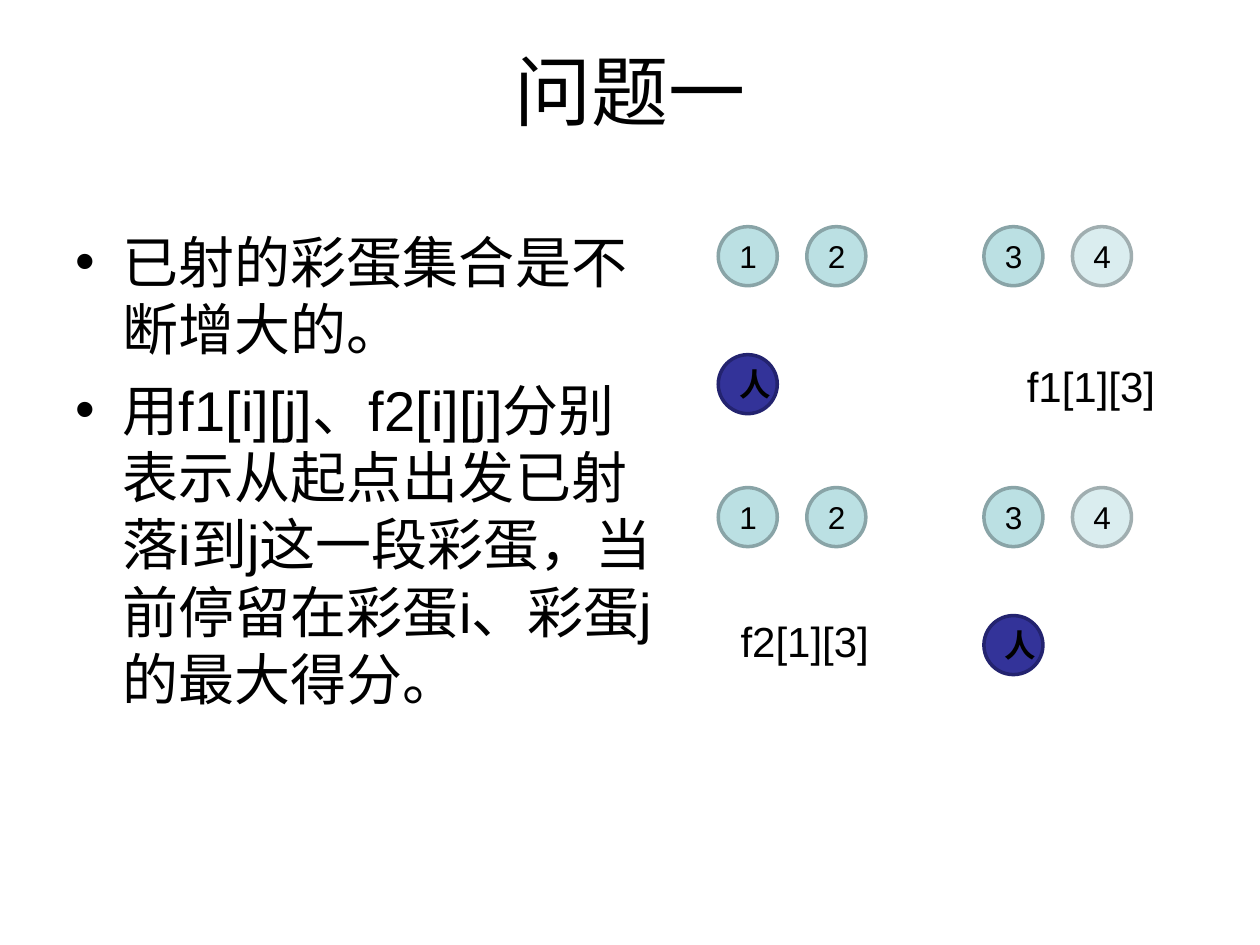
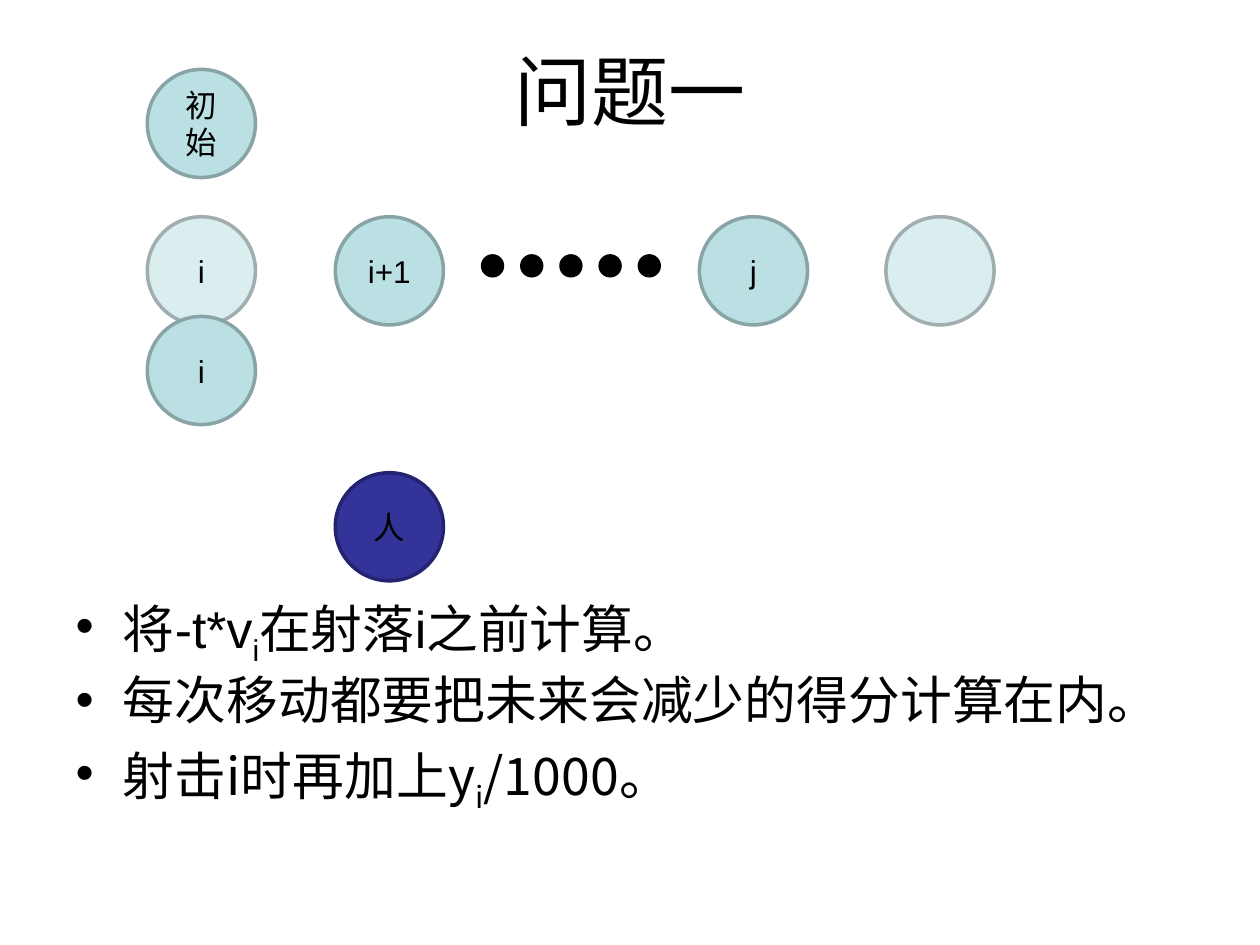
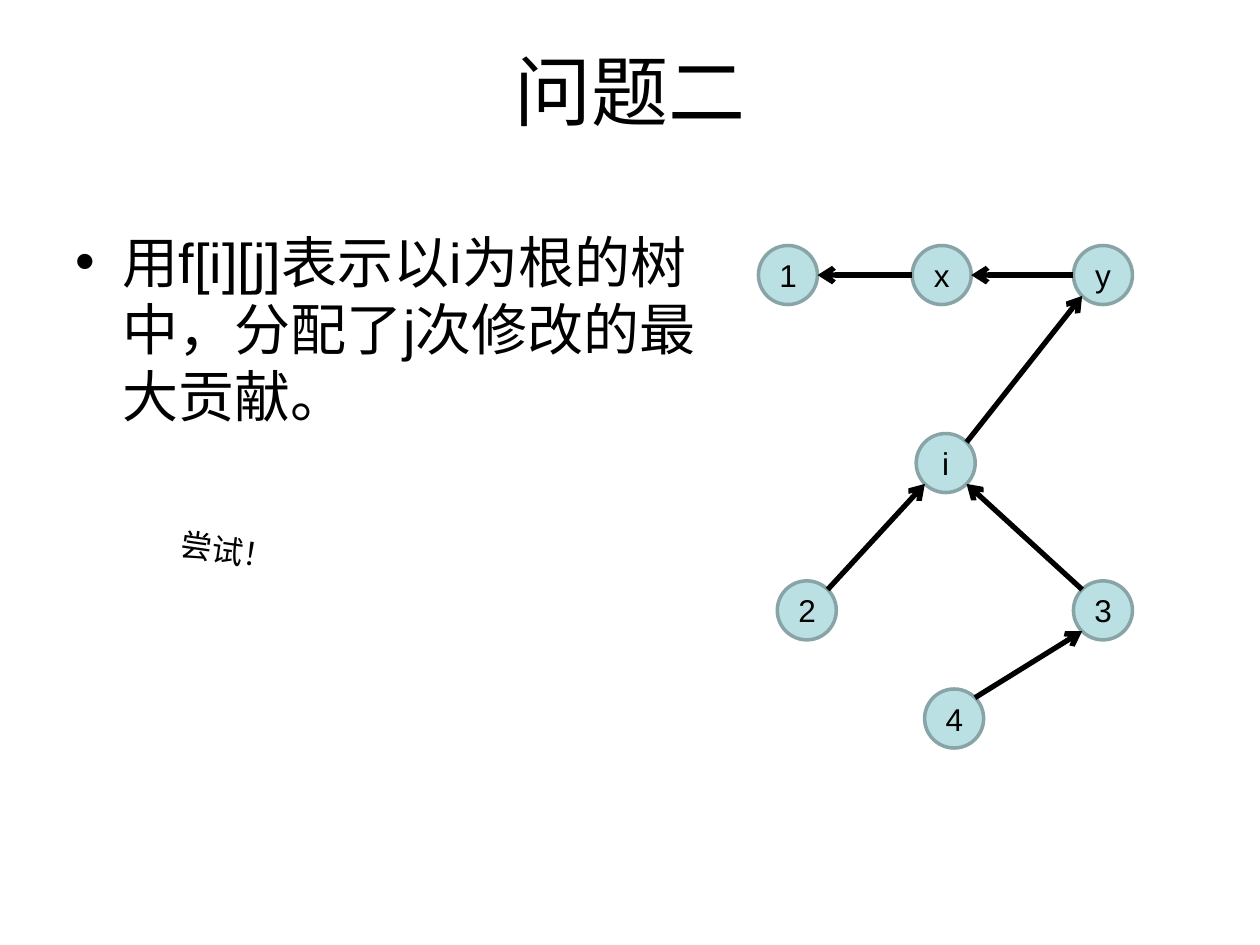
"""Builds three slides on two dynamic programming problems."""
from dataclasses import dataclass
from math import atan2, cos, pi, sin

from lxml.etree import SubElement
from pptx import Presentation
from pptx.dml.color import RGBColor
from pptx.enum.shapes import MSO_CONNECTOR, MSO_SHAPE
from pptx.enum.text import MSO_ANCHOR, MSO_AUTO_SIZE, PP_ALIGN
from pptx.oxml.ns import qn
from pptx.util import Cm, Pt


@dataclass(frozen=True)
class Theme:
    latin: str = "Arial"
    han: str = "Noto Sans CJK SC"
    ink: str = "000000"
    egg: tuple = ("BBE0E3", "89A4A7")
    faded: tuple = ("DAEDEF", "A0AEB0")
    man: tuple = ("333399", "23236F")
    dot: tuple = ("000000", "000000")
    title_size: float = 44
    body_size: float = 32
    dense_size: float = 29.6
    label_size: float = 24
    small_size: float = 18
    outline: float = 2
    arrow: float = 3


THEME = Theme()
LATIN = {"latin": THEME.latin}
SUB = {"baseline": -25000}

TITLE_BOX = (1.27, 0.76, 22.86, 3.18)

STATE_BOX = (1.27, 4.45, 12.22, 12.57)
STATE_POINTS = [
    ["已射的彩蛋集合是不断增大的。"],
    ["用", ("f1[i][j]、f2[i][j]", LATIN), "分别表示从起点出发已射落", ("i", LATIN),
     "到", ("j", LATIN), "这一段彩蛋，当前停留在彩蛋", ("i", LATIN),
     "、彩蛋", ("j", LATIN), "的最大得分。"],
]
EGG_SIZE = 1.19
EGG_LEFT, EGG_PITCH = 14.48, 1.785
EGG_COLUMNS = [("1", 0, THEME.egg), ("2", 1, THEME.egg),
               ("3", 3, THEME.egg), ("4", 4, THEME.faded)]
MAN_DROP = 2.58
STATES = [
    (4.57, 0, "f1[1][3]", (20.45, 7.14, 3.18, 1.27)),
    (9.83, 3, "f2[1][3]", (14.68, 12.29, 3.18, 1.27)),
]

SCORE_BOX = (1.27, 11.91, 24.13, 5.11)
SCORE_POINTS = [
    ["将", ("-t*v", LATIN), ("i", LATIN | SUB), "在射落", ("i", LATIN), "之前计算。"],
    ["每次移动都要把未来会减少的得分计算在内。"],
    ["射击i时再加上y", ("i", SUB), "/1000。"],
]
MOVE_SIZE = 2.18
MOVES = [
    ("人", 6.76, 9.53, THEME.man),
    ("i+1", 6.76, 4.37, THEME.egg),
    ("i", 2.97, 4.37, THEME.faded),
    ("j", 14.1, 4.37, THEME.egg),
    ("", 17.86, 4.37, THEME.faded),
    ("i", 2.97, 6.38, THEME.egg),
    ("初始", 2.97, 1.4, THEME.egg),
]
DOT_COUNT, DOT_LEFT, DOT_TOP, DOT_PITCH, DOT_SIZE = 5, 9.73, 5.16, 0.79, 0.4

TREE_BOX = (1.27, 4.45, 13.21, 12.57)
TREE_POINTS = [
    ["用", ("f[i][j]表示以i为根的树中，分配了j次修改的最大贡献。", LATIN)],
]
NODES = {
    "1": (15.29, 4.95), "x": (18.39, 4.95), "y": (21.64, 4.95),
    "i": (18.47, 8.74), "4": (18.64, 13.89), "2": (15.67, 11.71),
    "3": (21.64, 11.71),
}
EDGES = ["x1", "yx", "iy", "2i", "3i", "43"]
TRY_BOX = (3.1, 11.33, 13.11, 4.37)
TRY_TURN = 8.2


def color(value):
    """Turn a hex value into a colour."""
    return RGBColor.from_string(value)


def place(box, left, top, width, height):
    """Move and size a shape, in centimetres."""
    box.left, box.top, box.width, box.height = map(Cm, (left, top, width, height))


def write(para, text, size=THEME.small_size, latin=THEME.han, bold=False, baseline=0):
    """Add one formatted run to a paragraph."""
    span = para.add_run()
    span.text = text
    span.font.size = Pt(size)
    span.font.bold = bold
    span.font.name = latin
    span.font.color.rgb = color(THEME.ink)
    properties = span.font._element
    SubElement(properties, qn("a:ea"), typeface=THEME.han)
    if baseline:
        properties.set("baseline", str(baseline))


def start_page(deck, title, points, box, size=THEME.body_size, spacing=1.0):
    """Add a page with its title and bullet list."""
    page = deck.slides.add_slide(deck.slide_layouts[1])
    heading, body = page.placeholders
    for holder, spot in ((heading, TITLE_BOX), (body, box)):
        place(holder, *spot)
        holder.text_frame.auto_size = MSO_AUTO_SIZE.NONE
        holder.text_frame.vertical_anchor = MSO_ANCHOR.TOP
    write(heading.text_frame.paragraphs[0], title, size=THEME.title_size)
    for index, point in enumerate(points):
        frame = body.text_frame
        para = frame.add_paragraph() if index else frame.paragraphs[0]
        para.space_before = Pt(8)
        para.line_spacing = spacing
        for part in point:
            text, style = (part, {}) if isinstance(part, str) else part
            write(para, text, size=size, **style)
    return page


def add_circle(page, text, left, top, size, colors, bold=False):
    """Draw a circle with an optional centred label."""
    circle = page.shapes.add_shape(MSO_SHAPE.OVAL, Cm(left), Cm(top), Cm(size), Cm(size))
    circle.shadow.inherit = False
    fill, line = colors
    circle.fill.solid()
    circle.fill.fore_color.rgb = color(fill)
    circle.line.color.rgb = color(line)
    circle.line.width = Pt(THEME.outline)
    if text:
        para = circle.text_frame.paragraphs[0]
        para.alignment = PP_ALIGN.CENTER
        write(para, text, latin=THEME.latin, bold=bold)


def add_label(page, text, spot, wrap=True, turn=0, **style):
    """Add a free text label."""
    box = page.shapes.add_textbox(*map(Cm, spot))
    box.rotation = turn
    box.text_frame.word_wrap = wrap
    write(box.text_frame.paragraphs[0], text, **style)


def add_arrow(page, source, target):
    """Join two nodes at the nearest eighth of their rims."""
    run, rise = (end - start for start, end in zip(source, target))
    angle = round(atan2(rise, run) / (pi / 4)) * pi / 4
    radius = EGG_SIZE / 2
    reach = (radius * cos(angle), radius * sin(angle))
    start = [Cm(edge + radius + step) for edge, step in zip(source, reach)]
    end = [Cm(edge + radius - step) for edge, step in zip(target, reach)]
    arrow = page.shapes.add_connector(MSO_CONNECTOR.STRAIGHT, *start, *end)
    arrow.line.color.rgb = color(THEME.ink)
    arrow.line.width = Pt(THEME.arrow)
    SubElement(arrow.line._get_or_add_ln(), qn("a:tailEnd"), type="arrow")
    SubElement(arrow._element.spPr, qn("a:effectLst"))


def build_states(deck):
    """Show the two states and where the man stands."""
    page = start_page(deck, "问题一", STATE_POINTS, STATE_BOX)
    for top, man_column, label, spot in STATES:
        for text, column, colors in EGG_COLUMNS:
            add_circle(page, text, EGG_LEFT + column * EGG_PITCH, top, EGG_SIZE, colors)
        add_circle(page, "人", EGG_LEFT + man_column * EGG_PITCH, top + MAN_DROP,
                   EGG_SIZE, THEME.man, bold=True)
        add_label(page, label, spot, size=THEME.label_size, latin=THEME.latin)


def build_moves(deck):
    """Show one move and how it is scored."""
    page = start_page(deck, "问题一", SCORE_POINTS, SCORE_BOX,
                      size=THEME.dense_size, spacing=0.9)
    for text, left, top, colors in MOVES:
        add_circle(page, text, left, top, MOVE_SIZE, colors)
    for index in range(DOT_COUNT):
        add_circle(page, "", DOT_LEFT + index * DOT_PITCH, DOT_TOP, DOT_SIZE, THEME.dot)


def build_tree(deck):
    """Show the tree with its edges."""
    page = start_page(deck, "问题二", TREE_POINTS, TREE_BOX)
    for text, (left, top) in NODES.items():
        add_circle(page, text, left, top, EGG_SIZE, THEME.egg)
    for source, target in EDGES:
        add_arrow(page, NODES[source], NODES[target])
    add_label(page, "尝试！", TRY_BOX, wrap=False, turn=TRY_TURN)


def main():
    """Build and save the deck."""
    deck = Presentation()
    deck.slide_width, deck.slide_height = Cm(25.4), Cm(19.05)
    for build in (build_states, build_moves, build_tree):
        build(deck)
    deck.save("out.pptx")


if __name__ == "__main__":
    main()
